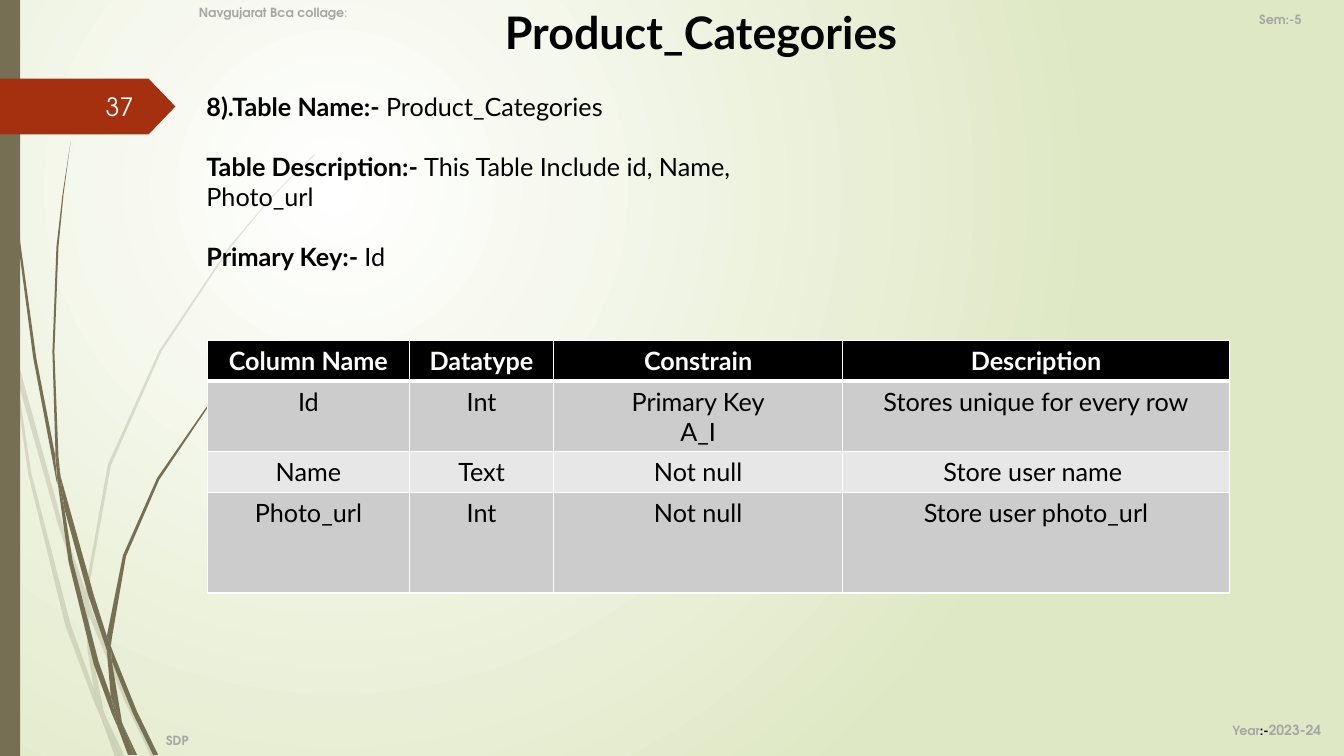
from lxml import etree
from pptx import Presentation
from pptx.dml.color import RGBColor
from pptx.enum.shapes import MSO_SHAPE
from pptx.enum.text import MSO_ANCHOR, PP_ALIGN
from pptx.oxml import parse_xml
from pptx.oxml.ns import nsdecls, qn
from pptx.util import Pt

RECT, PENTAGON = MSO_SHAPE.RECTANGLE, MSO_SHAPE.PENTAGON
TOP, MIDDLE = MSO_ANCHOR.TOP, MSO_ANCHOR.MIDDLE
CENTER = PP_ALIGN.CENTER

COLORS = {
    "white": "FFFFFF", "black": "000000", "meadow": "DFE8C4", "olive": "766F54",
    "rust": "A53010", "gray": "A6A6A6", "band": "CCCCCC", "pale_band": "E7E7E7",
}
BODY_FONT, LABEL_FONT = "Lato", "TeX Gyre Adventor"

GRASS_UNIT = Pt(0.72)
PALE_BLADES = [
    [(11, 350), (9, 322), (0, 282), (0, 299), (10, 344)],
    [(58, 522), (84, 599), (85, 586), (62, 520), (14, 345), (17, 376)],
    [(92, 607), (88, 596), (88, 610), (123, 694), (150, 751), (155, 751), (127, 692)],
    [(119, 751), (124, 751), (105, 711)],
    [(93, 683), (70, 619), (31, 469), (17, 376), (11, 350), (28, 470), (65, 621),
     (92, 693), (101, 714), (99, 707)],
    [(84, 599), (87, 646), (93, 683), (96, 692), (105, 711), (103, 706), (91, 646),
     (88, 610), (88, 608)],
    [(88, 584), (110, 462), (160, 349), (229, 245), (268, 198), (290, 175), (312, 154),
     (312, 153), (289, 175), (268, 197), (228, 244), (158, 348), (107, 461), (85, 584),
     (85, 586), (88, 596)],
    [(101, 714), (114, 751), (119, 751)],
    [(88, 608), (88, 610), (88, 596), (85, 586), (84, 599)],
    [(96, 692), (93, 683), (99, 707), (101, 714), (119, 751), (105, 711)],
]
DARK_BLADES = [
    [(7, 110), (17, 233), (33, 355), (56, 477), (57, 481), (55, 457), (55, 453),
     (36, 355), (19, 232), (8, 109), (5, 48), (4, 0), (3, 0), (4, 48)],
    [(88, 592), (106, 645), (106, 633), (106, 631), (93, 590), (60, 472), (64, 505)],
    [(113, 649), (110, 641), (111, 656), (132, 708), (152, 749), (157, 749), (136, 706)],
    [(110, 691), (98, 657), (72, 556), (64, 505), (57, 477), (68, 557), (93, 659),
     (111, 708), (117, 722), (116, 717)],
    [(60, 472), (58, 453), (54, 349), (58, 245), (63, 193), (70, 141), (62, 193),
     (56, 245), (52, 349), (55, 449)],
    [(133, 749), (136, 749), (122, 719)],
    [(57, 477), (64, 505), (60, 472), (55, 449), (55, 453)],
    [(111, 633), (125, 552), (158, 476), (205, 406), (231, 374), (245, 359), (261, 344),
     (260, 344), (245, 358), (231, 373), (204, 405), (156, 474), (122, 551), (106, 631),
     (110, 641)],
    [(117, 722), (127, 749), (131, 749)],
    [(106, 645), (110, 691), (116, 706), (122, 719), (121, 716), (111, 656), (109, 651)],
    [(106, 645), (109, 651), (111, 656), (110, 641), (106, 631), (106, 633)],
    [(116, 706), (110, 691), (116, 717), (117, 722), (130, 749), (133, 749), (122, 719)],
]

COLUMN_WIDTHS = [144, 103.3, 206.2, 276.5]
ROW_HEIGHTS = [28.8, 50.4, 28.8, 72]
ROWS = [
    ["Column Name", "Datatype", "Constrain", "Description"],
    ["Id", "Int", "Primary Key\nA_I", "Stores unique for every row"],
    ["Name", "Text", "Not null", "Store user name "],
    ["Photo_url", "Int", "Not null", "Store user photo_url"],
]
DETAILS = [
    ("8).Table Name:- ", "Product_Categories"),
    ("Table Description:- ", "This Table Include id, Name, Photo_url"),
    ("Primary Key:- ", "Id"),
]


def rgb(name):
    return RGBColor.from_string(COLORS[name])


def style_font(font, name, size, color, bold=False):
    font.name, font.size, font.bold = name, Pt(size), bold
    font.color.rgb = rgb(color)


def paint(sp, color):
    sp.shadow.inherit = False
    sp.fill.solid()
    sp.fill.fore_color.rgb = rgb(color)
    sp.line.fill.background()


def add_text(s, box, name, size, color, runs, bold=False, anchor=TOP):
    tf = s.shapes.add_textbox(*map(Pt, box)).text_frame
    tf.word_wrap = True
    tf.vertical_anchor = anchor
    p = tf.paragraphs[0]
    for text in runs:
        p.add_run().text = text
    style_font(p.font, name, size, color, bold)
    return p


def set_background(s):
    fill = s.background.fill
    fill.gradient()
    for stop, color in zip(fill.gradient_stops, ("white", "meadow")):
        stop.color.rgb = rgb(color)
    fill.gradient_stops[0].position, fill.gradient_stops[1].position = 0, 1
    lin = next(s.background._cSld.iter(qn("a:lin")))
    lin.getparent().replace(lin, parse_xml(
        f'<a:path {nsdecls("a")} path="circle">'
        '<a:fillToRect l="50000" t="50000" r="100000" b="100000"/></a:path>'))


def draw_grass(s, blades, opacity):
    for blade in blades:
        builder = s.shapes.build_freeform(*blade[0], scale=GRASS_UNIT)
        builder.add_line_segments(blade[1:], close=True)
        sp = builder.convert_to_shape()
        paint(sp, "olive")
        if opacity < 100:
            color = sp.fill._xPr.find(qn("a:solidFill"))[0]
            etree.SubElement(color, qn("a:alpha"), val=str(opacity * 1000))


def draw_side_band(s, x, y, w, h):
    paint(s.shapes.add_shape(RECT, Pt(x), Pt(y), Pt(w), Pt(h)), "olive")


def draw_page_tag(s, x, y, w, h):
    tag = s.shapes.add_shape(PENTAGON, Pt(x), Pt(y), Pt(w), Pt(h))
    tag.adjustments[0] = 0.48
    paint(tag, "rust")
    add_text(s, (x + 68.4, y + 5.7, 480, 28.8), LABEL_FONT, 18, "white", ["37"])


def draw_details(s, x, y, w, h):
    tf = s.shapes.add_textbox(Pt(x), Pt(y), Pt(w), Pt(h)).text_frame
    tf.word_wrap = True
    for i, (label, value) in enumerate(DETAILS):
        p = tf.add_paragraph() if i else tf.paragraphs[0]
        if i:
            p.space_before = Pt(21.2)
        style_font(p.font, BODY_FONT, 18, "black")
        r = p.add_run()
        r.text = label
        r.font.bold = True
        p.add_run().text = value


def set_borders(cell, top, bottom):
    tcPr = cell._tc.get_or_add_tcPr()
    for side, width in (("L", 1), ("R", 1), ("T", top), ("B", bottom)):
        tcPr.append(parse_xml(
            f'<a:ln{side} {nsdecls("a")} w="{Pt(width)}"><a:solidFill>'
            f'<a:srgbClr val="{COLORS["white"]}"/></a:solidFill></a:ln{side}>'))


def draw_columns_table(s, x, y):
    frame = s.shapes.add_table(len(ROWS), len(COLUMN_WIDTHS), Pt(x), Pt(y),
                               Pt(sum(COLUMN_WIDTHS)), Pt(sum(ROW_HEIGHTS)))
    table = frame.table
    for column, width in zip(table.columns, COLUMN_WIDTHS):
        column.width = Pt(width)
    for i, (texts, height) in enumerate(zip(ROWS, ROW_HEIGHTS)):
        table.rows[i].height = Pt(height)
        header = i == 0
        fill = "black" if header else "band" if i % 2 else "pale_band"
        for j, text in enumerate(texts):
            cell = table.cell(i, j)
            set_borders(cell, 3 if i == 1 else 1, 3 if header else 1)
            cell.fill.solid()
            cell.fill.fore_color.rgb = rgb(fill)
            cell.text_frame.text = text
            for p in cell.text_frame.paragraphs:
                p.alignment = CENTER
                style_font(p.font, BODY_FONT, 18, "white" if header else "black", header)


def draw_corner_labels(s, w, h):
    def label(box, *runs, anchor=MIDDLE):
        return add_text(s, box, LABEL_FONT, 9, "gray", runs, True, anchor)

    p = label((135, -5.8, 144, 28.8), "Navgujarat Bca collage", ":")
    p.runs[1].font.bold = False
    label((w - 67.6, -0.3, 79.2, 28.8), "Sem:-5")
    label((111.6, h - 20.2, 480, 18), "SDP", anchor=TOP)
    p = label((w - 86.8, h - 33.1, 80, 28.8), "Year", ":-", "2023-24")
    p.runs[1].font.color.rgb = rgb("black")
    p.runs[2].font.size = Pt(10)


def main():
    prs = Presentation()
    w, h = 960, 540
    prs.slide_width, prs.slide_height = Pt(w), Pt(h)
    s = prs.slides.add_slide(prs.slide_layouts[6])
    set_background(s)
    draw_grass(s, PALE_BLADES, 20)
    draw_grass(s, DARK_BLADES, 100)
    draw_side_band(s, 0, 0, 14.4, h)
    draw_page_tag(s, 0, 56.2, 125.3, 39.8)
    add_text(s, (353.5, 0, 480, 85), BODY_FONT, 32, "black", ["Product_Categories"], True)
    draw_details(s, 140.4, 61.9, 440, 181.4)
    draw_columns_table(s, 148.3, 243.5)
    draw_corner_labels(s, w, h)
    prs.save("out.pptx")


if __name__ == "__main__":
    main()
